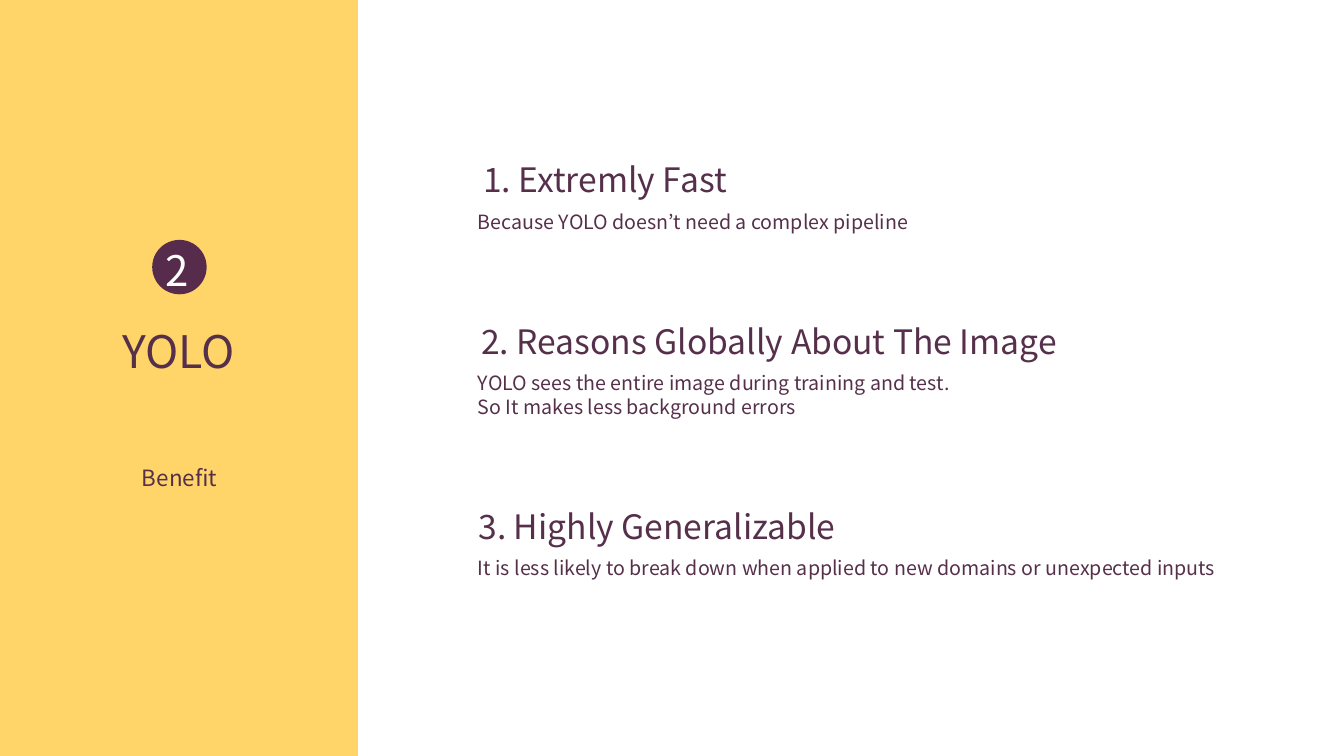
import dataclasses

import pptx
import pptx.dml.color
import pptx.enum.shapes
import pptx.enum.text
import pptx.util

Inches = pptx.util.Inches
Shape = pptx.enum.shapes.MSO_SHAPE
Align = pptx.enum.text.PP_ALIGN


@dataclasses.dataclass(frozen=True)
class Theme:
    font: str = "Noto Sans CJK KR"
    panel: str = "FFD569"
    badge: str = "562B4B"
    ink: str = "56304B"
    white: str = "FFFFFF"
    title: int = 32
    number: int = 30
    head: int = 24
    label: int = 16
    body: int = 14


class Deck:
    """Draws styled elements on the current slide."""

    def __init__(self, theme):
        self.theme = theme
        self.show = pptx.Presentation()
        self.show.slide_width = Inches(13.33)
        self.show.slide_height = Inches(7.5)
        self.slide = self.show.slides.add_slide(self.show.slide_layouts[6])

    def shape(self, kind, box, color):
        item = self.slide.shapes.add_shape(kind, *map(Inches, box))
        item.shadow.inherit = False
        item.fill.solid()
        item.fill.fore_color.rgb = pptx.dml.color.RGBColor.from_string(color)
        item.line.fill.background()

    def text(self, box, lines, size, color=None, align=Align.LEFT, wrap=False):
        frame = self.slide.shapes.add_textbox(*map(Inches, box)).text_frame
        frame.margin_left = frame.margin_right = 0
        frame.margin_top = frame.margin_bottom = 0
        frame.word_wrap = wrap
        frame.auto_size = pptx.enum.text.MSO_AUTO_SIZE.SHAPE_TO_FIT_TEXT
        for place, line in enumerate(lines):
            para = frame.add_paragraph() if place else frame.paragraphs[0]
            para.alignment = align
            run = para.add_run()
            run.text = line
            run.font.name = self.theme.font
            run.font.size = pptx.util.Pt(size)
            run.font.color.rgb = pptx.dml.color.RGBColor.from_string(
                color or self.theme.ink)

    def point(self, top, head, width, lines, span):
        left = 4.74
        self.text((left, top, width, 0.4), [head], self.theme.head,
                  align=Align.CENTER)
        self.text((left, top + 0.5, span, 0.24 * len(lines)), lines,
                  self.theme.body, wrap=True)


def main():
    theme = Theme()
    deck = Deck(theme)
    deck.shape(Shape.RECTANGLE, (0, 0, 3.55, 7.5), theme.panel)
    deck.text((1.19, 3.21, 1.17, 0.54), ["YOLO"], theme.title,
              align=Align.CENTER)
    deck.text((1.4, 4.6, 0.76, 0.27), ["Benefit"], theme.label,
              align=Align.CENTER)
    deck.shape(Shape.OVAL, (1.51, 2.38, 0.54, 0.54), theme.badge)
    deck.text((1.64, 2.43, 0.26, 0.5), ["2"], theme.number, theme.white)

    points = [
        (1.58, "1. Extremly Fast", 2.52,
         ["Because YOLO doesn’t need a complex pipeline"], 7.13),
        (3.18, "2. Reasons Globally About The Image ", 5.85,
         ["YOLO sees the entire image during training and test.",
          "So It makes less background errors"], 5.85),
        (5.02, "3. Highly Generalizable", 3.55,
         ["It is less likely to break down when applied to new domains "
          "or unexpected inputs"], 8.02),
    ]
    for point in points:
        deck.point(*point)
    deck.show.save("out.pptx")


if __name__ == "__main__":
    main()
